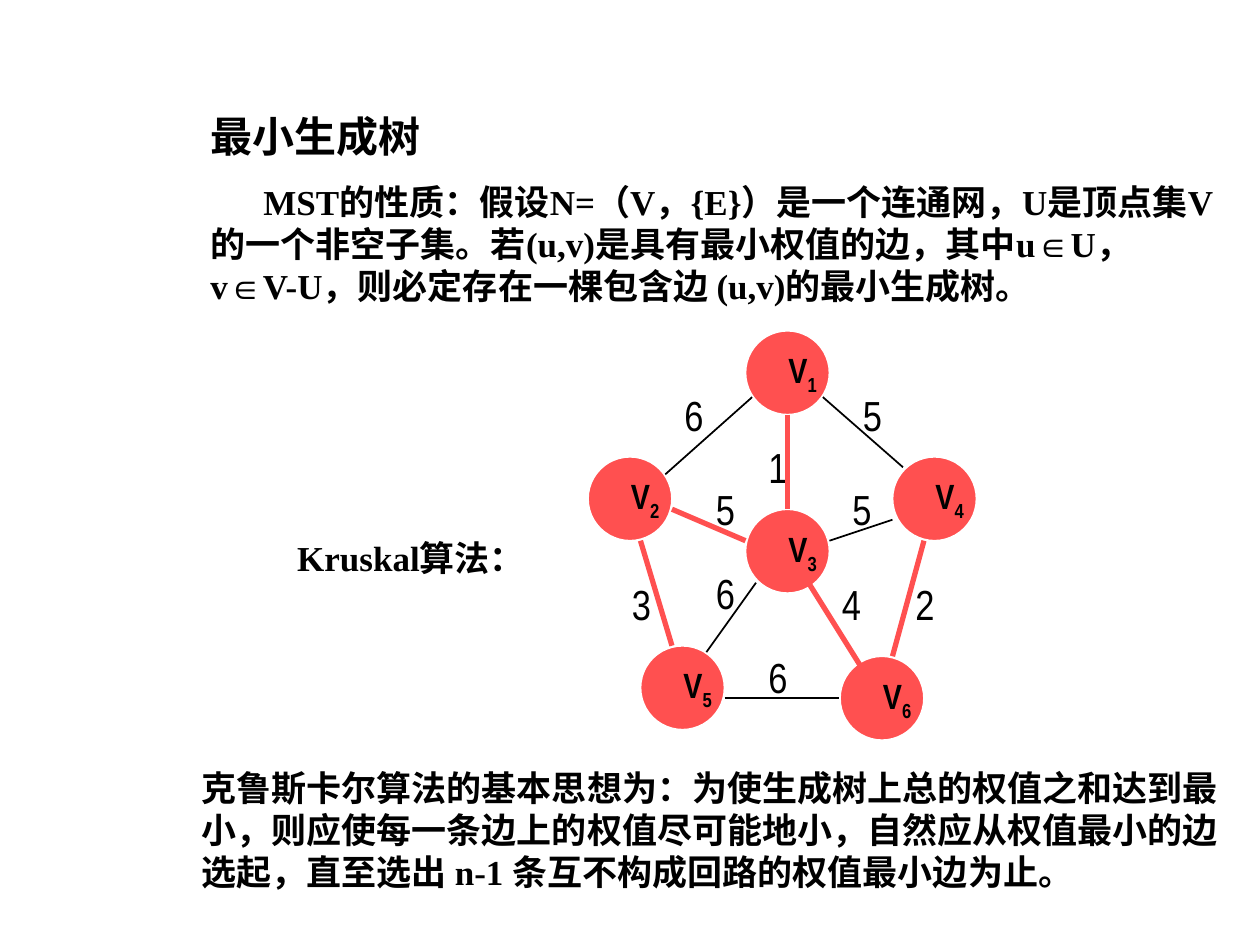
from lxml import etree
from pptx import Presentation
from pptx.dml.color import RGBColor
from pptx.enum.shapes import MSO_CONNECTOR, MSO_SHAPE
from pptx.enum.text import MSO_ANCHOR, PP_ALIGN
from pptx.oxml.ns import qn
from pptx.util import Inches, Pt

STRAIGHT = MSO_CONNECTOR.STRAIGHT
OVAL = MSO_SHAPE.OVAL
TOP, MIDDLE = MSO_ANCHOR.TOP, MSO_ANCHOR.MIDDLE
LEFT, CENTER = PP_ALIGN.LEFT, PP_ALIGN.CENTER

COLORS = {"text": "000000", "tree": "FF5050", "outline": "FFFFFF"}
SERIF, NARROW = "Times New Roman", "Arial Narrow"

TITLE = "最小生成树"
PROPERTY = (
    "MST的性质：假设N=（V，{E}）是一个连通网，U是顶点集V的一个非空子集。"
    "若(u,v)是具有最小权值的边，其中u∈U，v∈V-U，"
    "则必定存在一棵包含边 (u,v)的最小生成树。"
)
ALGORITHM = "Kruskal算法："
IDEA = (
    "克鲁斯卡尔算法的基本思想为：为使生成树上总的权值之和达到最小，"
    "则应使每一条边上的权值尽可能地小，自然应从权值最小的边选起，"
    "直至选出 n-1 条互不构成回路的权值最小边为止。"
)

GRID = 12
NODE_CELLS = 8
NODES = {"1": (71, 31), "2": (56, 43), "3": (71, 48),
         "4": (85, 43), "5": (61, 61), "6": (80, 62)}
# weight, start, end, label position, in tree
EDGES = [
    ("6", (72, 37), (63, 45), (64, 36), False),
    ("5", (78, 37), (86, 44), (81, 36), False),
    ("1", (75, 39), (75, 48), (72, 41), True),
    ("5", (64, 48), (71, 51), (67, 45), True),
    ("5", (79, 51), (85, 49), (80, 45), False),
    ("3", (61, 51), (64, 61), (59, 54), True),
    ("6", (72, 55), (67, 62), (67, 53), False),
    ("4", (77, 55), (82, 63), (79, 54), True),
    ("2", (88, 51), (85, 62), (86, 54), True),
    ("6", (69, 66), (80, 66), (72, 61), False),
]


def color(name):
    return RGBColor.from_string(COLORS[name])


def grid_point(cell):
    column, row = cell
    return Inches(column / GRID), Inches((row + 0.5) / GRID)


def style(paragraph, size, font_name, bold=True, align=LEFT):
    paragraph.alignment = align
    paragraph.space_before = Pt(0)
    font = paragraph.font
    font.size, font.name, font.bold = Pt(size), font_name, bold
    font.color.rgb = color("text")


def fill_text(shape, text, size, font_name, bold=True, anchor=TOP):
    frame = shape.text_frame
    frame.word_wrap = True
    frame.vertical_anchor = anchor
    frame.text = text
    style(frame.paragraphs[0], size, font_name, bold)


def place(shape, left, top, width, height):
    shape.left, shape.top = Inches(left), Inches(top)
    shape.width, shape.height = Inches(width), Inches(height)


def add_edge(start, end, in_tree):
    line = slide.shapes.add_connector(STRAIGHT, *grid_point(start), *grid_point(end))
    line.line.color.rgb = color("tree" if in_tree else "text")
    line.line.width = Pt(3 if in_tree else 1)
    etree.SubElement(line._element.spPr, qn("a:effectLst"))


def add_node(number, cell):
    size = Inches(NODE_CELLS / GRID)
    node = slide.shapes.add_shape(OVAL, *grid_point(cell), size, size)
    node.shadow.inherit = False
    node.fill.solid()
    node.fill.fore_color.rgb = color("tree")
    node.line.color.rgb = color("outline")
    node.line.width = Pt(1)
    frame = node.text_frame
    frame.word_wrap = False
    frame.vertical_anchor = MIDDLE
    frame.margin_left, frame.margin_right = Inches(0.24), 0
    paragraph = frame.paragraphs[0]
    style(paragraph, 20, NARROW, align=CENTER)
    paragraph.add_run().text = "V"
    subscript = paragraph.add_run()
    subscript.text = number
    subscript.font._element.set("baseline", "-25000")


presentation = Presentation()
presentation.slide_width, presentation.slide_height = Inches(10), Inches(7.5)
slide = presentation.slides.add_slide(presentation.slide_layouts[1])

title, body = slide.placeholders
place(title, 1.57, 0.83, 8.18, 0.55)
fill_text(title, TITLE, 24, SERIF)
place(body, 1.57, 1.38, 8.18, 1.62)
fill_text(body, PROPERTY, 20, SERIF)
properties = body.text_frame.paragraphs[0]._p.get_or_add_pPr()
properties.set("marL", "0")
properties.set("indent", str(Inches(0.42)))
properties.insert_element_before(
    etree.Element(qn("a:buNone")), "a:tabLst", "a:defRPr", "a:extLst")

for weight, start, end, label_cell, in_tree in EDGES:
    if not in_tree:
        add_edge(start, end, in_tree)
    label = slide.shapes.add_textbox(*grid_point(label_cell), Inches(0.33), Inches(0.5))
    fill_text(label, weight, 24, NARROW, bold=False)
for number, cell in NODES.items():
    add_node(number, cell)
for weight, start, end, label_cell, in_tree in EDGES:
    if in_tree:
        add_edge(start, end, in_tree)

for text, box, anchor in [(ALGORITHM, (2.26, 4.21, 1.98, 0.43), TOP),
                          (IDEA, (1.5, 6.03, 8.35, 1.1), MIDDLE)]:
    caption = slide.shapes.add_textbox(*map(Inches, box))
    fill_text(caption, text, 20, SERIF, anchor=anchor)

presentation.save("out.pptx")
